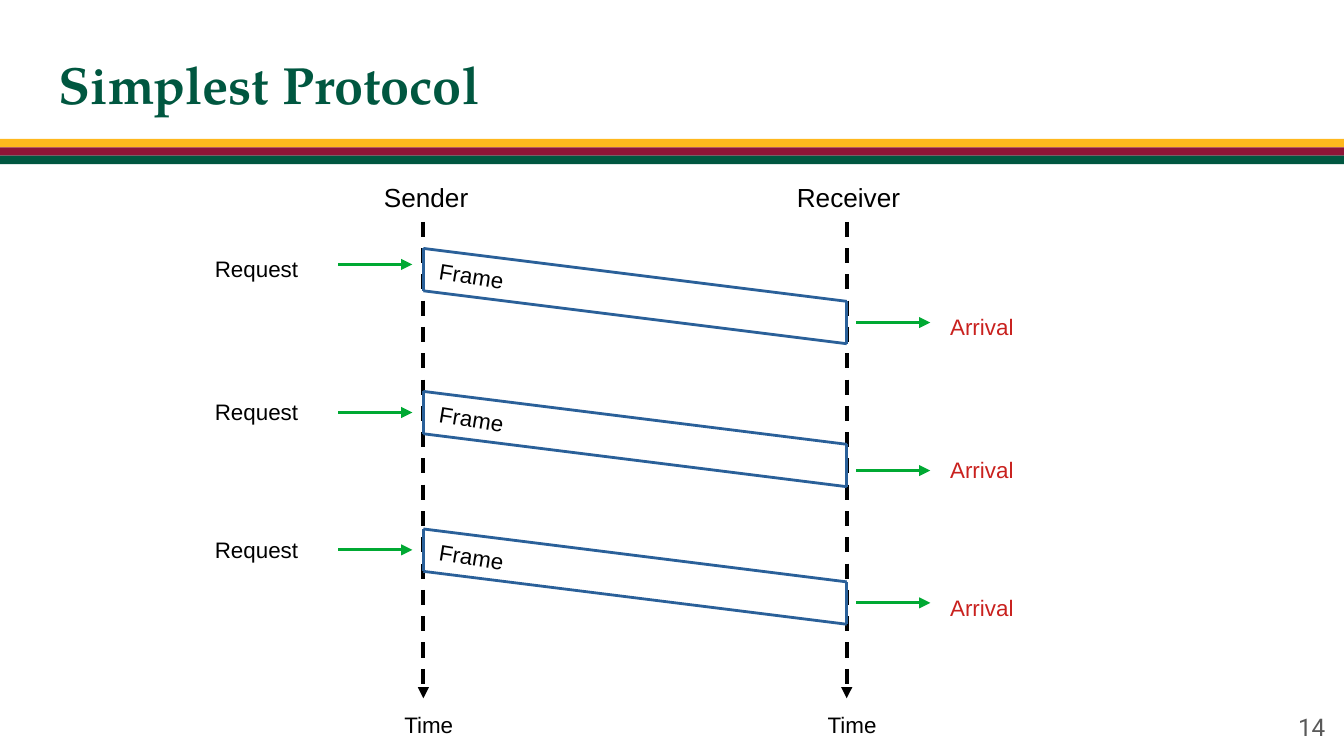
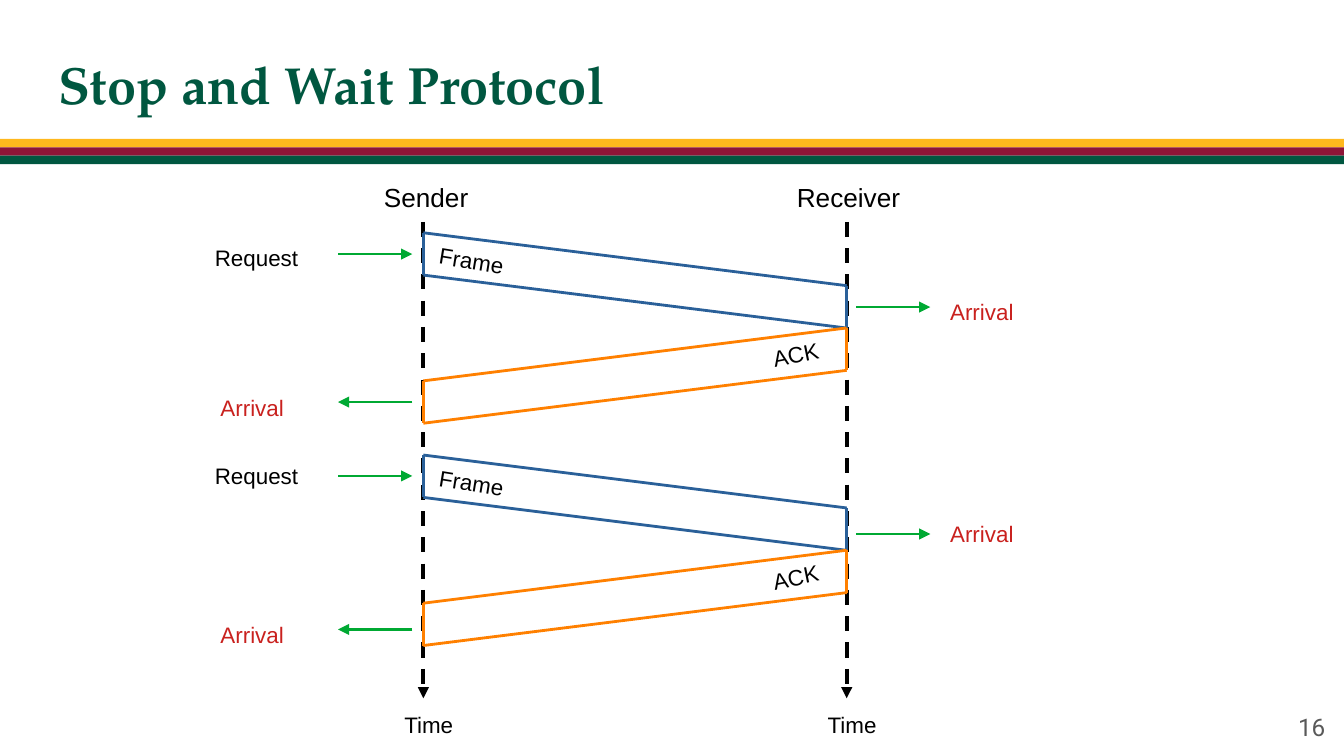
from collections import namedtuple

from lxml import etree
from pptx import Presentation
from pptx.dml.color import RGBColor
from pptx.enum.dml import MSO_LINE
from pptx.enum.shapes import MSO_CONNECTOR, MSO_SHAPE
from pptx.enum.text import MSO_ANCHOR, MSO_AUTO_SIZE, PP_ALIGN
from pptx.oxml.ns import qn
from pptx.util import Pt

STRAIGHT = MSO_CONNECTOR.STRAIGHT
RECTANGLE = MSO_SHAPE.RECTANGLE
DASH = MSO_LINE.DASH
MIDDLE = MSO_ANCHOR.MIDDLE
GROW = MSO_AUTO_SIZE.SHAPE_TO_FIT_TEXT
LEFT, RIGHT = PP_ALIGN.LEFT, PP_ALIGN.RIGHT

BLACK = RGBColor(0x00, 0x00, 0x00)
GOLD = RGBColor(0xFF, 0xB8, 0x1D)
MAROON = RGBColor(0x8E, 0x15, 0x37)
DARK_GREEN = RGBColor(0x00, 0x57, 0x40)
GREY = RGBColor(0x59, 0x59, 0x59)
FRAME_BLUE = RGBColor(0x2A, 0x60, 0x99)
ACK_ORANGE = RGBColor(0xFF, 0x80, 0x00)
ARROW_GREEN = RGBColor(0x00, 0xA9, 0x33)
ARRIVAL_RED = RGBColor(0xC9, 0x21, 0x1E)

TITLE_FONT, NUMBER_FONT, BODY_FONT = "TeX Gyre Pagella", "Roboto", "Arial"

Box = namedtuple("Box", "left top width height")
Exchange = namedtuple(
    "Exchange",
    "top request_label request_arrow arrival_arrow ack_label ack_arrow",
    defaults=(None, None),
)

SLIDE = Box(0, 0, 720, 405)
TITLE = Box(24.5, 18, 566.6, 53.3)
STRIPES = Box(0, 74.4, 720, 13.5)
NUMBER = Box(673.9, 373.7, 43.2, 31)
DIAGRAM = Box(108, 93.6, 453, 304.6)

SENDER, RECEIVER = 118.8, 345.6
LIFELINE_TOP, LIFELINE_END = 25.2, 280.5
BAR_HEIGHT, BAR_DROP = 22.7, 28.35
ACK_OFFSET = 51
ARRIVAL_LABEL = 31.3
ARROW_LENGTH = 39.8
LABEL_WIDTH, LABEL_HEIGHT = 59, 21

SIMPLEST = [
    Exchange(39.5, 0, 8.6, 39.7),
    Exchange(116.1, 0, 11.3, 42.4),
    Exchange(189.8, 0, 11.2, 39.6),
]
STOP_AND_WAIT = [
    Exchange(31.1, 2.8, 11.4, 39.8, 82.7, 90.7),
    Exchange(150.2, 0, 11.2, 42.3, 85.2, 93.4),
]


def add_text(shapes, box, text, size, color=BLACK, font=BODY_FONT, align=LEFT,
             wrap=True, rotation=0):
    label = shapes.add_textbox(*map(Pt, box))
    label.rotation = rotation
    frame = label.text_frame
    frame.text = text
    frame.word_wrap = wrap
    paragraph = frame.paragraphs[0]
    paragraph.alignment = align
    run_font = paragraph.runs[0].font
    run_font.name = font
    run_font.size = Pt(size)
    run_font.color.rgb = color
    return label


def add_label(shapes, left, top, text, color=BLACK, width=LABEL_WIDTH,
              height=LABEL_HEIGHT, size=12, **options):
    label = add_text(shapes, Box(left, top, width, height), text, size, color, **options)
    label.text_frame.auto_size = GROW


def add_line(shapes, start, end, color, width=1.5, dashed=False, arrow=False):
    line = shapes.add_connector(STRAIGHT, *map(Pt, (*start, *end)))
    line.line.color.rgb = color
    line.line.width = Pt(width)
    if dashed:
        line.line.dash_style = DASH
    properties = line._element.spPr
    if arrow:
        etree.SubElement(properties.find(qn("a:ln")), qn("a:tailEnd"), type="triangle")
    etree.SubElement(properties, qn("a:effectLst"))


def draw_stripes(slide, box):
    height = box.height / 3
    for row, color in enumerate((GOLD, MAROON, DARK_GREEN)):
        stripe = slide.shapes.add_shape(
            RECTANGLE, Pt(box.left), Pt(box.top + row * height), Pt(box.width), Pt(height))
        stripe.shadow.inherit = False
        stripe.fill.solid()
        stripe.fill.fore_color.rgb = color
        stripe.line.fill.background()


def draw_title(slide, box, text):
    title = add_text(slide.shapes, box, text, 28, DARK_GREEN, TITLE_FONT)
    title.text_frame.vertical_anchor = MIDDLE
    title.text_frame.paragraphs[0].runs[0].font.bold = True


def draw_number(slide, box, number):
    label = add_text(slide.shapes, box, str(number), 13, GREY, NUMBER_FONT, RIGHT)
    label.text_frame.vertical_anchor = MIDDLE


def draw_lifelines(slide, box):
    for party, offset, shift, width in (
            ("Sender", SENDER, 28.2, 59.8), ("Receiver", RECEIVER, 33.8, 69.8)):
        x = box.left + offset
        add_label(slide.shapes, x - shift, box.top, party, width=width, height=23,
                  size=14, wrap=False)
        add_line(slide.shapes, (x, box.top + LIFELINE_TOP), (x, box.top + LIFELINE_END),
                 BLACK, width=0, dashed=True, arrow=True)
        add_label(slide.shapes, x - 17.3, box.top + 283.7, "Time")


def draw_bar(slide, start_x, end_x, top, color, text, label_box, rotation):
    shapes = slide.shapes.add_group_shape().shapes
    start, end = (start_x, top), (end_x, top + BAR_DROP)
    low_start, low_end = (start_x, top + BAR_HEIGHT), (end_x, top + BAR_DROP + BAR_HEIGHT)
    for first, last in ((start, end), (low_start, low_end), (start, low_start), (end, low_end)):
        add_line(shapes, first, last, color)
    shift, drop, width = label_box
    add_label(shapes, start_x + shift, top + drop, text, width=width, wrap=False,
              rotation=rotation)


def draw_arrow(slide, start_x, y, length):
    add_line(slide.shapes, (start_x, y), (start_x + length, y), ARROW_GREEN, arrow=True)


def draw_exchange(slide, box, exchange):
    sender, receiver = box.left + SENDER, box.left + RECEIVER
    top = box.top + exchange.top
    request_x = sender - 5.9 - ARROW_LENGTH
    add_label(slide.shapes, box.left, top + exchange.request_label, "Request")
    draw_arrow(slide, request_x, top + exchange.request_arrow, ARROW_LENGTH)
    draw_bar(slide, sender, receiver, top, FRAME_BLUE, "Frame", (1.5, 4, 49), 9.3)
    draw_arrow(slide, receiver + 5, top + exchange.arrival_arrow, ARROW_LENGTH)
    add_label(slide.shapes, receiver + 48.3, top + ARRIVAL_LABEL, "Arrival", ARRIVAL_RED)
    if exchange.ack_arrow is not None:
        draw_bar(slide, receiver, sender, top + ACK_OFFSET, ACK_ORANGE, "ACK",
                 (-46.8, 3.4, 38.9), 348.6)
        draw_arrow(slide, sender - 5.9, top + exchange.ack_arrow, -ARROW_LENGTH)
        add_label(slide.shapes, box.left + 3, top + exchange.ack_label, "Arrival", ARRIVAL_RED)


def add_protocol_slide(deck, title, number, exchanges):
    slide = deck.slides.add_slide(deck.slide_layouts[6])
    draw_stripes(slide, STRIPES)
    draw_title(slide, TITLE, title)
    draw_number(slide, NUMBER, number)
    draw_lifelines(slide, DIAGRAM)
    for exchange in exchanges:
        draw_exchange(slide, DIAGRAM, exchange)


def main():
    deck = Presentation()
    deck.slide_width, deck.slide_height = Pt(SLIDE.width), Pt(SLIDE.height)
    add_protocol_slide(deck, "Simplest Protocol", 14, SIMPLEST)
    add_protocol_slide(deck, "Stop and Wait Protocol", 16, STOP_AND_WAIT)
    deck.save("out.pptx")


if __name__ == "__main__":
    main()
